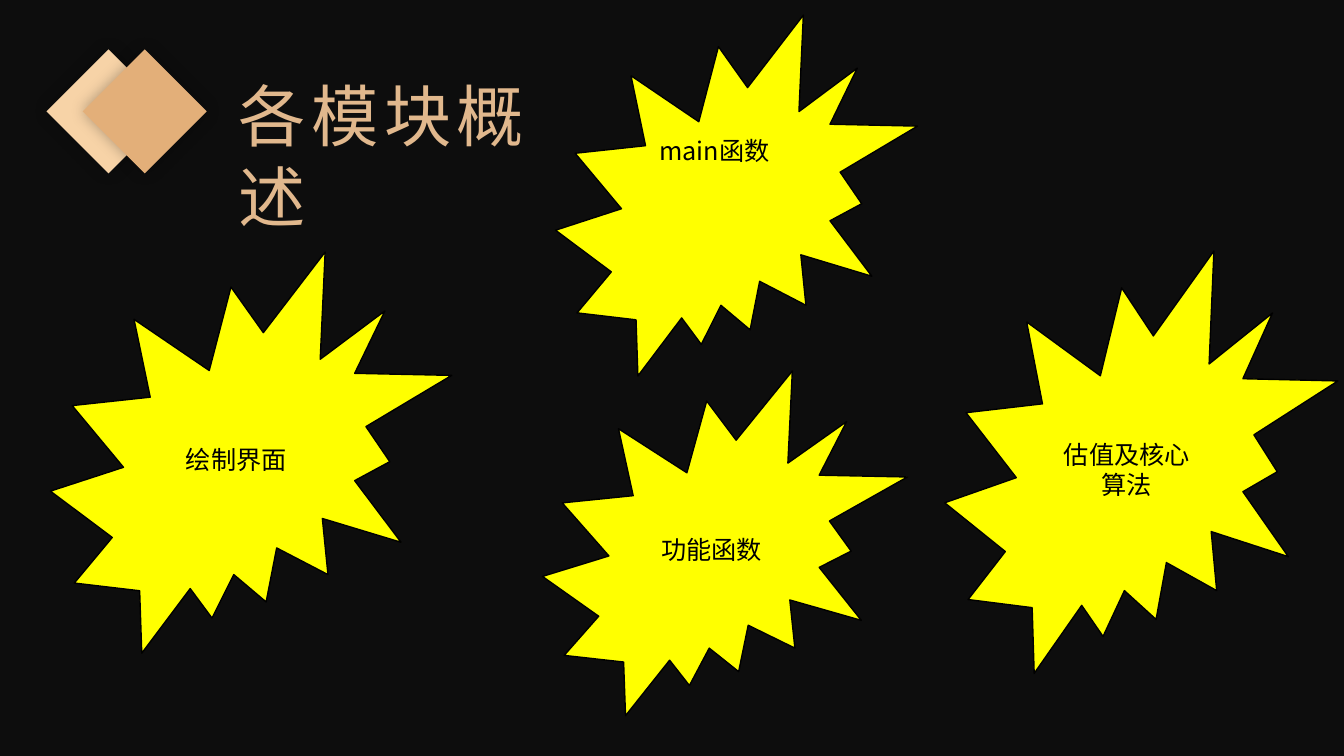
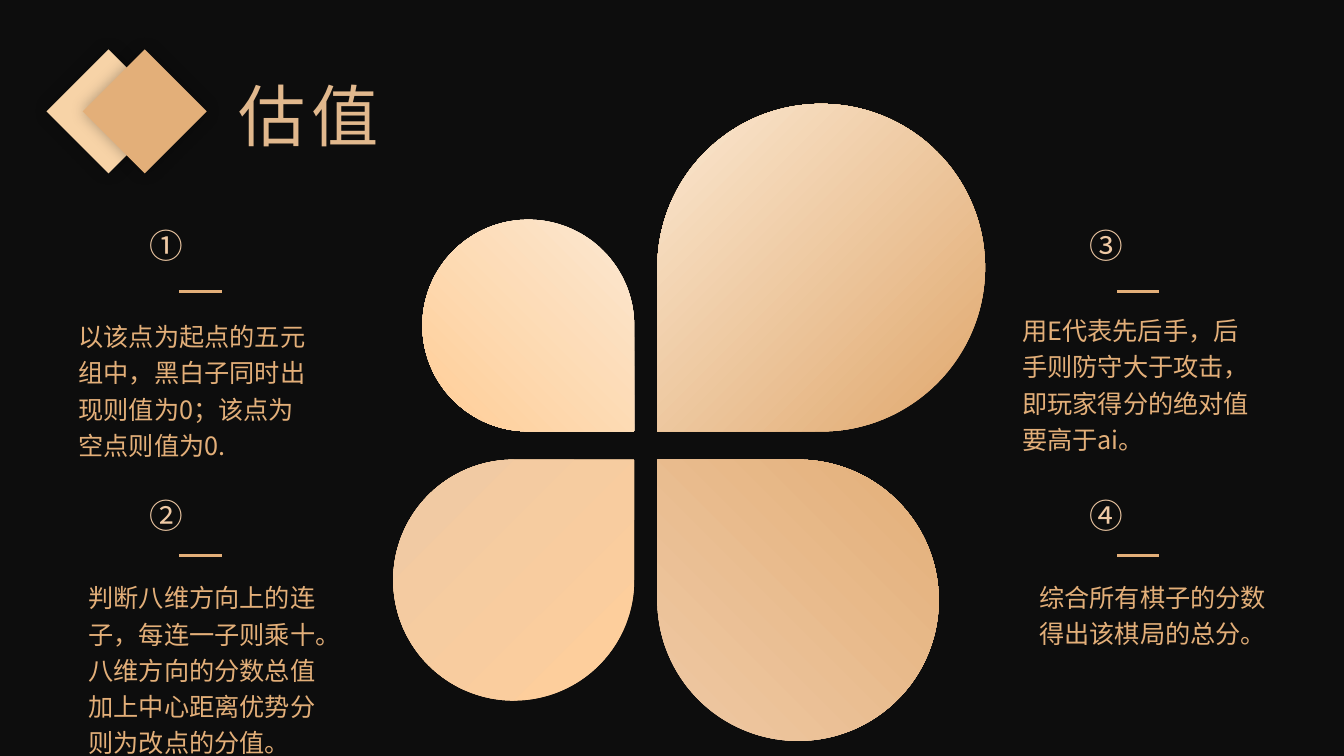
from lxml import etree
from pptx import Presentation
from pptx.dml.color import RGBColor
from pptx.enum.shapes import MSO_CONNECTOR as Connector, MSO_SHAPE as Shape
from pptx.enum.text import MSO_ANCHOR as Anchor, PP_ALIGN as Align
from pptx.oxml import parse_xml
from pptx.oxml.ns import nsdecls, qn
from pptx.util import Inches, Pt

FONT = "Noto Sans CJK SC"
COLORS = {
    "night": "0D0D0D",
    "black": "000000",
    "yellow": "FFFF00",
    "title": "E1B88D",
    "gold": "E3AF79",
    "sand": "F7D3A7",
    "cream": "FBE8D1",
    "peach": "FFCF9B",
    "rose": "EFC9A4",
}


def rgb(name):
    return RGBColor.from_string(COLORS[name])


def paint_gradient(fill, stops, clockwise):
    """Fill with two (position, colour) stops at a clockwise angle."""
    fill.gradient()
    fill.gradient_angle = (360 - clockwise) % 360
    for stop, (position, color) in zip(fill.gradient_stops, stops):
        stop.position = position
        stop.color.rgb = rgb(color)


class SlideMaker:
    def __init__(self, deck):
        self.deck = deck
        self.page = None

    def start(self, title):
        """New page with the shared background, diamonds and title."""
        self.page = self.deck.slides.add_slide(self.deck.slide_layouts[6])
        background = self.page.background.fill
        background.solid()
        background.fore_color.rgb = rgb("night")
        for left, color in ((0.64, "sand"), (1, "gold")):
            self.diamond(left, color)
        self.text(title, 2.27, 0.69, 3.1, 0.91, 48, "title", tracking=4)

    def shape(self, kind, left, top, width, height, color=None):
        shape = self.page.shapes.add_shape(
            kind, Inches(left), Inches(top), Inches(width), Inches(height))
        shape.shadow.inherit = False
        shape.line.fill.background()
        if color:
            shape.fill.solid()
            shape.fill.fore_color.rgb = rgb(color)
        return shape

    def diamond(self, left, color):
        square = self.shape(Shape.RECTANGLE, left, 0.67, 0.87, 0.87, color)
        square.rotation = 135
        effects = square._element.spPr.find(qn("a:effectLst"))
        effects.append(parse_xml(
            f'<a:outerShdw {nsdecls("a")} blurRad="{Pt(11)}" dist="0" '
            'algn="ctr" rotWithShape="0"><a:srgbClr val="000000">'
            '<a:alpha val="30000"/></a:srgbClr></a:outerShdw>'))

    def span(self, para, text, size, color=None, tracking=0):
        span = para.add_run()
        span.text = text
        font = span.font
        font.size = Pt(size)
        if color:
            font.color.rgb = rgb(color)
        font.name = FONT
        props = span._r.get_or_add_rPr()
        etree.SubElement(props, qn("a:ea")).set("typeface", FONT)
        if tracking:
            props.set("spc", str(tracking * 100))
        return span

    def text(self, text, left, top, width, height, size=18, color=None,
             tracking=0, spacing=None):
        box = self.page.shapes.add_textbox(
            Inches(left), Inches(top), Inches(width), Inches(height))
        box.text_frame.word_wrap = True
        para = box.text_frame.paragraphs[0]
        para.line_spacing = spacing
        return self.span(para, text, size, color, tracking)

    def burst(self, left, top, width, height, label=None):
        burst = self.shape(Shape.EXPLOSION2, left, top, width, height, "yellow")
        burst.line.color.rgb = rgb("black")
        burst.line.width = Pt(1)
        if label:
            frame = burst.text_frame
            frame.word_wrap = True
            frame.vertical_anchor = Anchor.MIDDLE
            para = frame.paragraphs[0]
            para.alignment = Align.CENTER
            self.span(para, label, 18, "black")

    def petal(self, left, top, size, stops, angle, rotation=0, flip=False):
        petal = self.shape(Shape.TEAR, left, top, size, size)
        paint_gradient(petal.fill, stops, angle)
        petal.rotation = rotation
        if flip:
            petal._element.spPr.xfrm.set("flipV", "1")

    def badge(self, number, left, top):
        span = self.text(number, left, top, 1.36, 0.5, 24)
        paint_gradient(span.font.fill, ((0, "rose"), (0.5, "gold")), 0)

    def dash(self, left, top):
        dash = self.page.shapes.add_connector(
            Connector.STRAIGHT, Inches(left), Inches(top),
            Inches(left + 0.42), Inches(top))
        dash.line.color.rgb = rgb("gold")
        dash.line.width = Pt(2)
        etree.SubElement(dash._element.spPr, qn("a:effectLst"))


def build_modules(maker):
    maker.start("各模块概述")
    maker.burst(5.51, 0.15, 3.59, 3.58)
    maker.burst(0.5, 2.5, 3.98, 3.98, "绘制界面")
    maker.burst(9.37, 2.49, 3.9, 4.19, "估值及核心算法")
    maker.burst(5.38, 3.68, 3.62, 3.42, "功能函数")
    maker.text("main函数", 6.44, 1.29, 1.59, 1.31, color="black")


def build_valuation(maker):
    maker.start("估值")

    # Four petals whose tips meet around a narrow cross
    left_edge, right_edge, upper_edge, lower_edge = 6.29, 6.52, 4.28, 4.56
    petals = (
        # size, on the left, on top, stops, angle, rotation, flip
        (2.1, True, True, ((0, "cream"), (0.93, "peach")), 225, 0, True),
        (2.39, True, False, ((0, "peach"), (1, "rose")), 225, 0, False),
        (3.25, False, True, ((0.12, "gold"), (1, "cream")), 225, 90, True),
        (2.79, False, False, ((0, "rose"), (1, "gold")), 45, 270, False),
    )
    for size, on_left, on_top, *style in petals:
        left = left_edge - size if on_left else right_edge
        top = upper_edge - size if on_top else lower_edge
        maker.petal(left, top, size, *style)

    # Numbered notes in two columns of two rows
    columns = ((1.38, 1.78), (10.71, 11.08))
    rows = ((2.18, 2.89), (4.86, 5.51))
    notes = (
        ("①", 0.68, 3.08, 1.28,
         "以该点为起点的五元组中，黑白子同时出现则值为0；该点为空点则值为0."),
        ("②", 0.78, 5.67, 0.81,
         "判断八维方向上的连子，每连一子则乘十。"
         "八维方向的分数总值加上中心距离优势分则为改点的分值。"),
        ("③", 10.04, 3.02, 1.17,
         "用E代表先后手，后手则防守大于攻击，即玩家得分的绝对值要高于ai。"),
        ("④", 10.21, 5.67, 1.37, "综合所有棋子的分数得出该棋局的总分。"),
    )
    for index, (number, left, top, height, note) in enumerate(notes):
        badge_left, dash_left = columns[index // 2]
        badge_top, dash_top = rows[index % 2]
        maker.badge(number, badge_left, badge_top)
        maker.dash(dash_left, dash_top)
        maker.text(note, left, top, 2.57, height, color="gold", spacing=1.2)


def main():
    deck = Presentation()
    deck.slide_width, deck.slide_height = Inches(13.33), Inches(7.5)
    maker = SlideMaker(deck)
    build_modules(maker)
    build_valuation(maker)
    deck.save("out.pptx")


if __name__ == "__main__":
    main()
